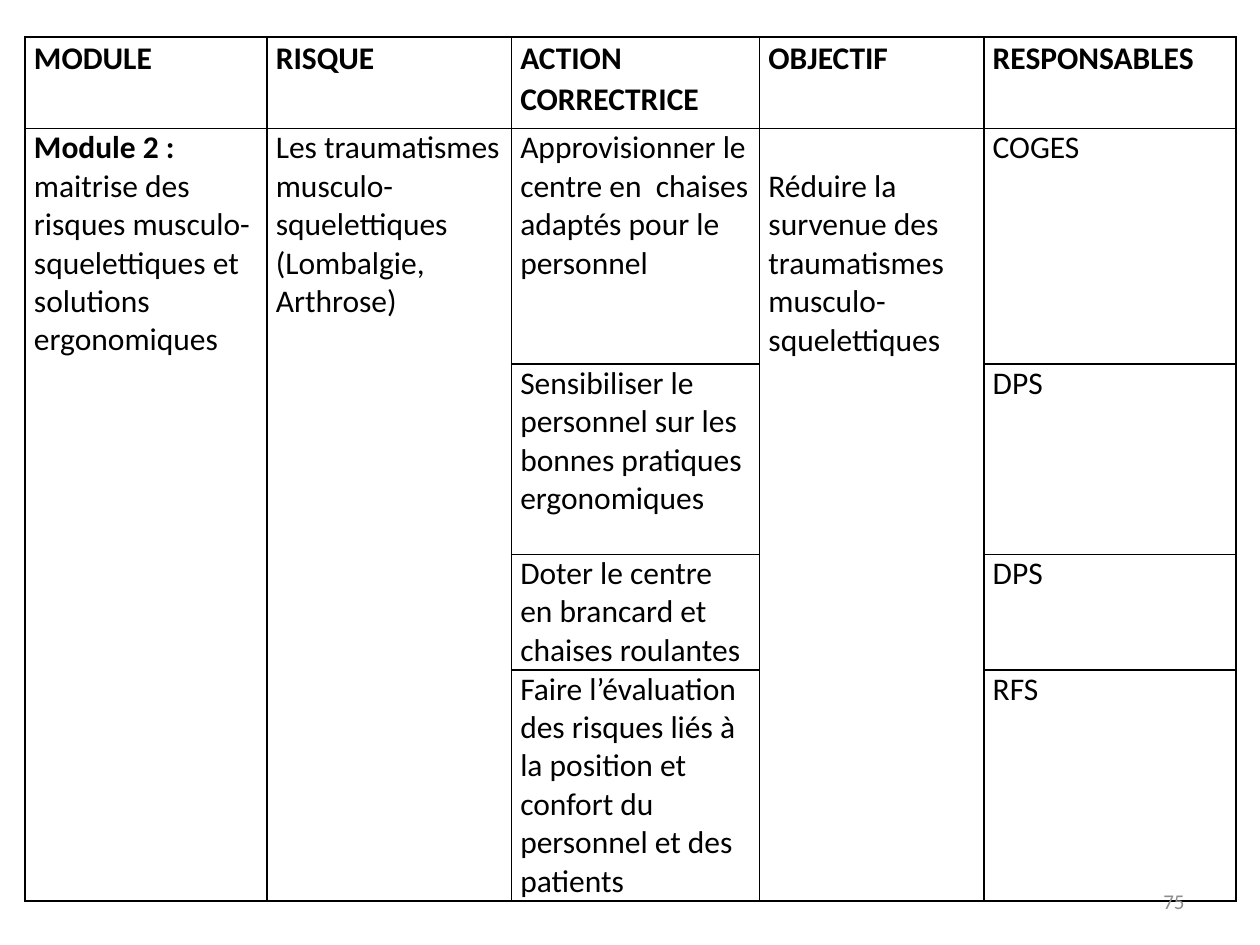
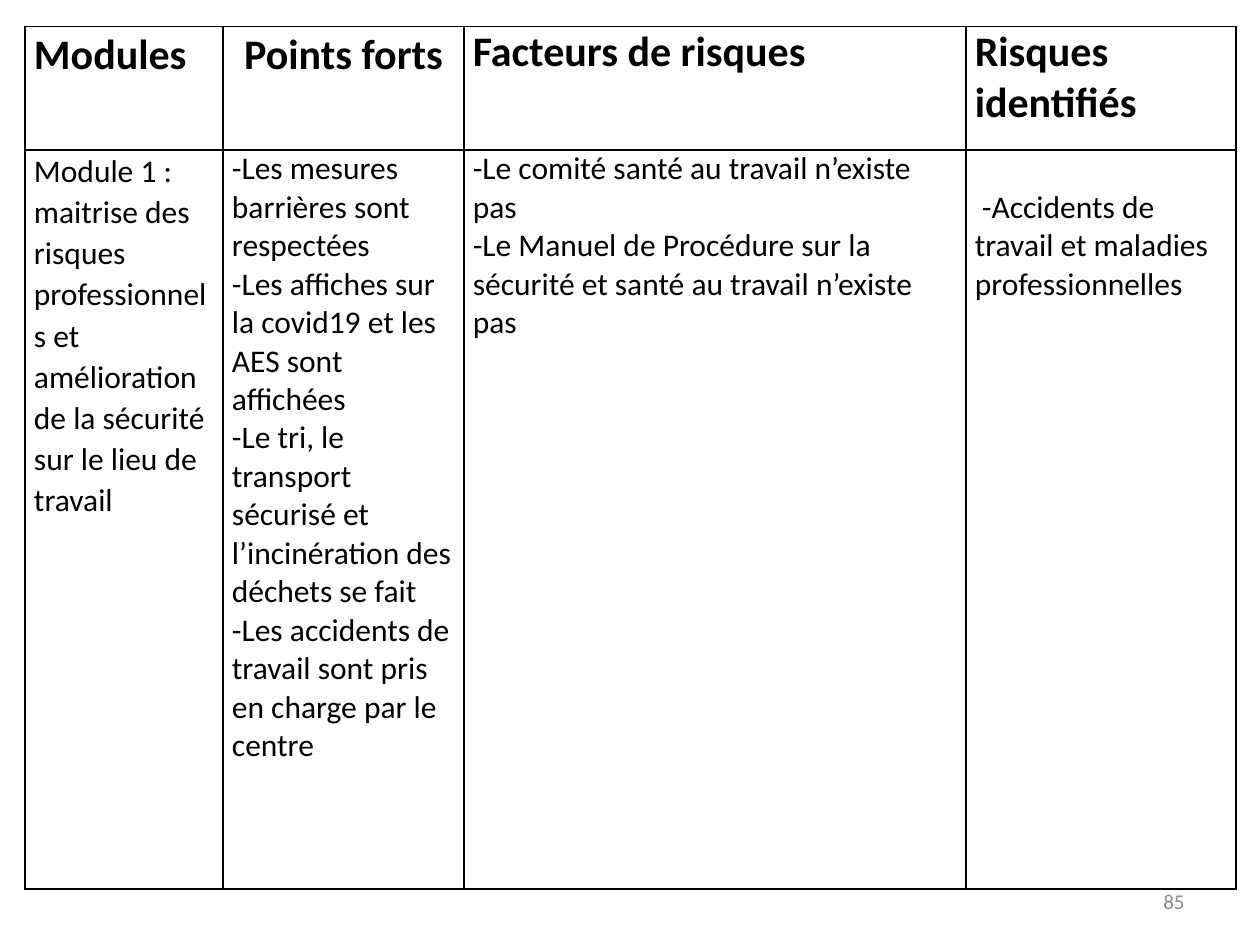
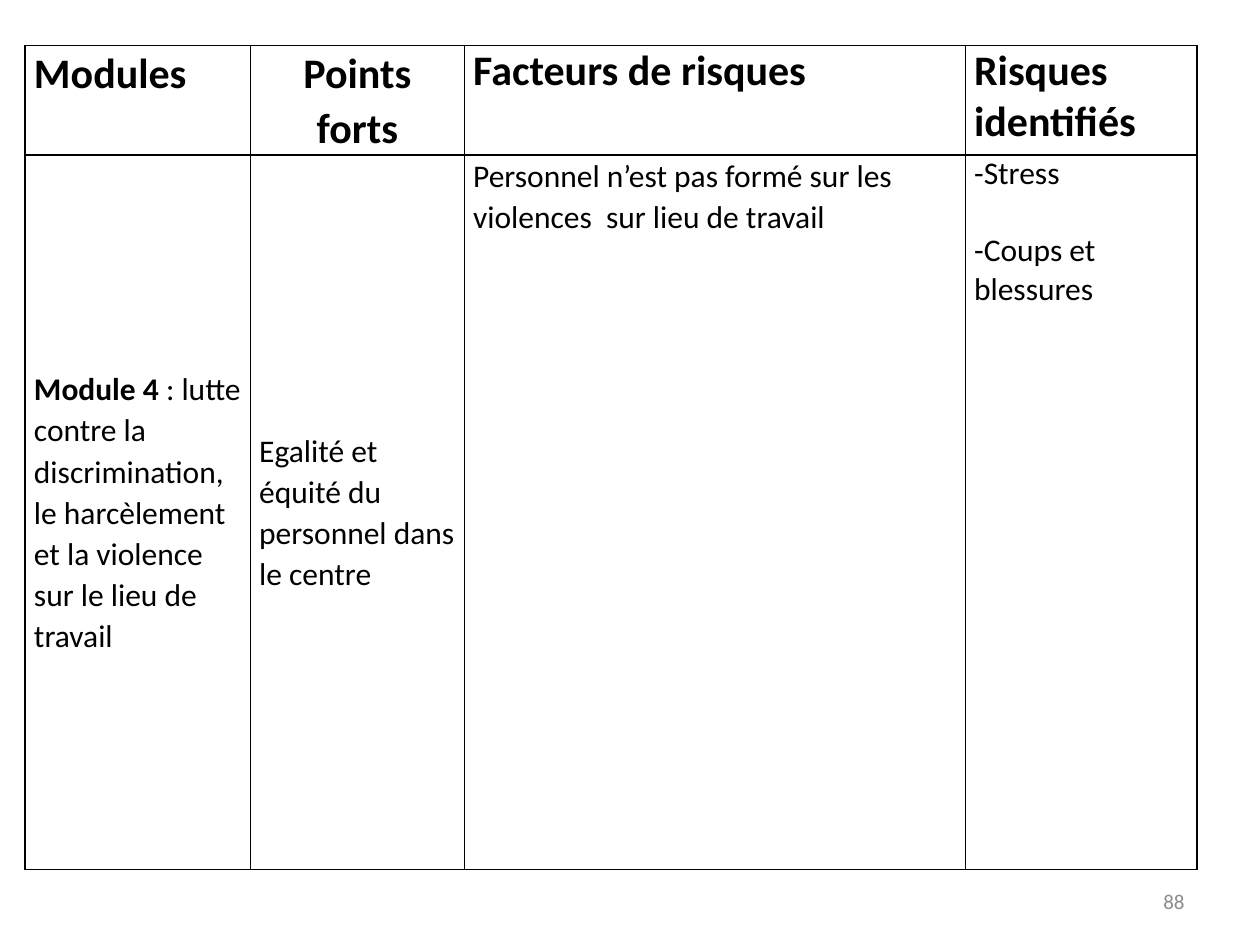
from dataclasses import dataclass

from pptx import Presentation
from pptx import util as u
from pptx.dml.color import RGBColor
from pptx.enum import text as t
from pptx.oxml.ns import qn
from lxml import etree

WIDE, HIGH = u.Inches(10), u.Inches(7.5)
INK = RGBColor(0, 0, 0)
GREY = RGBColor(0x8C, 0x8C, 0x8C)
FONT = "Calibri"
LOOSE = 1.07
LINE = 22
LEFT = t.PP_ALIGN.LEFT
MID = t.MSO_ANCHOR.MIDDLE
TOP = t.MSO_ANCHOR.TOP


@dataclass
class Entry:
    """Text of one cell, with its lead in bold and its layout."""
    paras: tuple
    lead: str = ""
    size: int = 18
    bold: bool = False
    space: float = 1.0
    align: t.PP_ALIGN = LEFT
    anchor: t.MSO_ANCHOR = TOP
    drop: float = 0
    gap: float = 0


def add_run(para, words, size, color, bold=False):
    """Add one styled run to a paragraph."""
    run = para.add_run()
    run.text = words
    font = run.font
    font.name, font.size, font.bold = FONT, u.Pt(size), bold
    font.color.rgb = color


def add_edges(cell):
    """Draw a thin black line on all four sides of a cell."""
    props = cell._tc.get_or_add_tcPr()
    for spot, side in enumerate(("lnL", "lnR", "lnT", "lnB")):
        line = etree.Element(qn(f"a:{side}"), w=str(u.Pt(1)))
        fill = etree.SubElement(line, qn("a:solidFill"))
        etree.SubElement(fill, qn("a:srgbClr"), val=str(INK))
        props.insert(spot, line)


def fill_cell(cell, entry):
    """Write an entry into a cell."""
    cell.margin_left = cell.margin_right = u.Inches(0.07)
    cell.margin_top, cell.margin_bottom = u.Pt(entry.drop), 0
    cell.vertical_anchor = entry.anchor
    frame = cell.text_frame
    for num, words in enumerate(entry.paras):
        para = frame.add_paragraph() if num else frame.paragraphs[0]
        para.alignment, para.line_spacing = entry.align, entry.space
        if num and entry.gap:
            para.space_before = u.Pt(entry.gap)
        if entry.lead and not num:
            add_run(para, entry.lead, entry.size, INK, True)
        add_run(para, words, entry.size, INK, entry.bold)


def add_grid(slide, box, cols, rows, cells, spans=()):
    """Fill a box with a table whose columns and rows share it by weight."""
    x, y, w, h = box
    shape = slide.shapes.add_table(
        len(rows), len(cols), int(x * WIDE), int(y * HIGH), int(w * WIDE), int(h * HIGH))
    table = shape.table
    table.first_row = table.horz_banding = False
    for col, part in zip(table.columns, cols):
        col.width = int(w * WIDE * part / sum(cols))
    for row, part in zip(table.rows, rows):
        row.height = int(h * HIGH * part / sum(rows))
    for cell in table.iter_cells():
        cell.fill.background()
        add_edges(cell)
    for col in spans:
        table.cell(1, col).merge(table.cell(len(rows) - 1, col))
    for r, line in enumerate(cells):
        for c, entry in enumerate(line):
            if entry:
                fill_cell(table.cell(r, c), entry)


def add_page(slide, num):
    """Put the page number at the lower right."""
    box = slide.shapes.add_textbox(
        int(0.717 * WIDE), int(0.927 * HIGH), int(0.233 * WIDE), int(0.053 * HIGH))
    frame = box.text_frame
    frame.word_wrap, frame.vertical_anchor = True, MID
    para = frame.paragraphs[0]
    para.alignment = t.PP_ALIGN.RIGHT
    add_run(para, str(num), 12, GREY)


def plan_slide(slide):
    """Build the table of corrective actions."""
    heads = ("MODULE", "RISQUE", "ACTION CORRECTRICE", "OBJECTIF", "RESPONSABLES")
    acts = (
        ("Approvisionner le centre en  chaises adaptés pour le personnel", "COGES"),
        ("Sensibiliser le personnel sur les bonnes pratiques ergonomiques", "DPS"),
        ("Doter le centre en brancard et chaises roulantes", "DPS"),
        ("Faire l’évaluation des risques liés à la position et confort "
         "du personnel et des patients", "RFS"),
    )
    cells = [[Entry((head,), bold=True, space=LOOSE) for head in heads]]
    cells += [[None, None, Entry((act,)), None, Entry((who,))] for act, who in acts]
    cells[1][0] = Entry(("maitrise des risques musculo-squelettiques et solutions "
                         "ergonomiques",), lead="Module 2 : ")
    cells[1][1] = Entry(("Les traumatismes musculo-squelettiques (Lombalgie, Arthrose)",))
    cells[1][3] = Entry(("Réduire la survenue des traumatismes musculo-squelettiques",),
                        drop=LINE)
    add_grid(slide, (0.02, 0.039, 0.961, 0.914), (1.92, 1.94, 1.97, 1.78, 2),
             (0.73, 1.87, 1.51, 0.92, 1.83), cells, (0, 1, 3))
    add_page(slide, 75)


def risk_slide(slide, box, cols, rows, body, num):
    """Build a table of strengths and risks for one module."""
    heads = [
        Entry(("Modules",), size=24, bold=True, space=LOOSE),
        Entry(("Points forts",), size=24, bold=True, space=LOOSE,
              align=t.PP_ALIGN.CENTER),
        Entry(("Facteurs de risques",), size=24, bold=True),
        Entry(("Risques identifiés",), size=24, bold=True),
    ]
    add_grid(slide, box, cols, rows, [heads, body])
    add_page(slide, num)


def main():
    """Build and save the deck."""
    deck = Presentation()
    deck.slide_width, deck.slide_height = WIDE, HIGH
    plan, safe, fair = (deck.slides.add_slide(deck.slide_layouts[6]) for _ in range(3))
    plan_slide(plan)
    risk_slide(safe, (0.02, 0.028, 0.961, 0.913), (1.57, 1.91, 3.98, 2.14), (0.98, 5.87), [
        Entry(("Module 1 : maitrise des risques professionnels et amélioration "
               "de la sécurité sur le lieu de travail",), space=LOOSE),
        Entry(("-Les mesures barrières sont respectées",
               "-Les affiches sur la covid19 et les AES sont affichées",
               "-Le tri, le transport sécurisé et l’incinération des déchets se fait",
               "-Les accidents de travail sont pris en charge par le centre")),
        Entry(("-Le comité santé au travail n’existe pas",
               "-Le Manuel de Procédure sur la sécurité et santé au travail "
               "n’existe pas")),
        Entry((" -Accidents de travail et maladies professionnelles",), drop=LINE),
    ], 85)
    risk_slide(fair, (0.02, 0.048, 0.93, 0.872), (1.79, 1.7, 3.98, 1.84), (0.87, 5.67), [
        Entry((" : lutte contre la discrimination, le harcèlement et la violence "
               "sur le lieu de travail",), lead="Module 4", space=LOOSE, anchor=MID),
        Entry(("Egalité et équité du personnel dans le centre",),
              space=LOOSE, anchor=MID),
        Entry(("Personnel n’est pas formé sur les violences  sur lieu de travail",),
              space=LOOSE),
        Entry(("-Stress", "-Coups et blessures"), gap=LINE),
    ], 88)
    deck.save("out.pptx")


if __name__ == "__main__":
    main()
